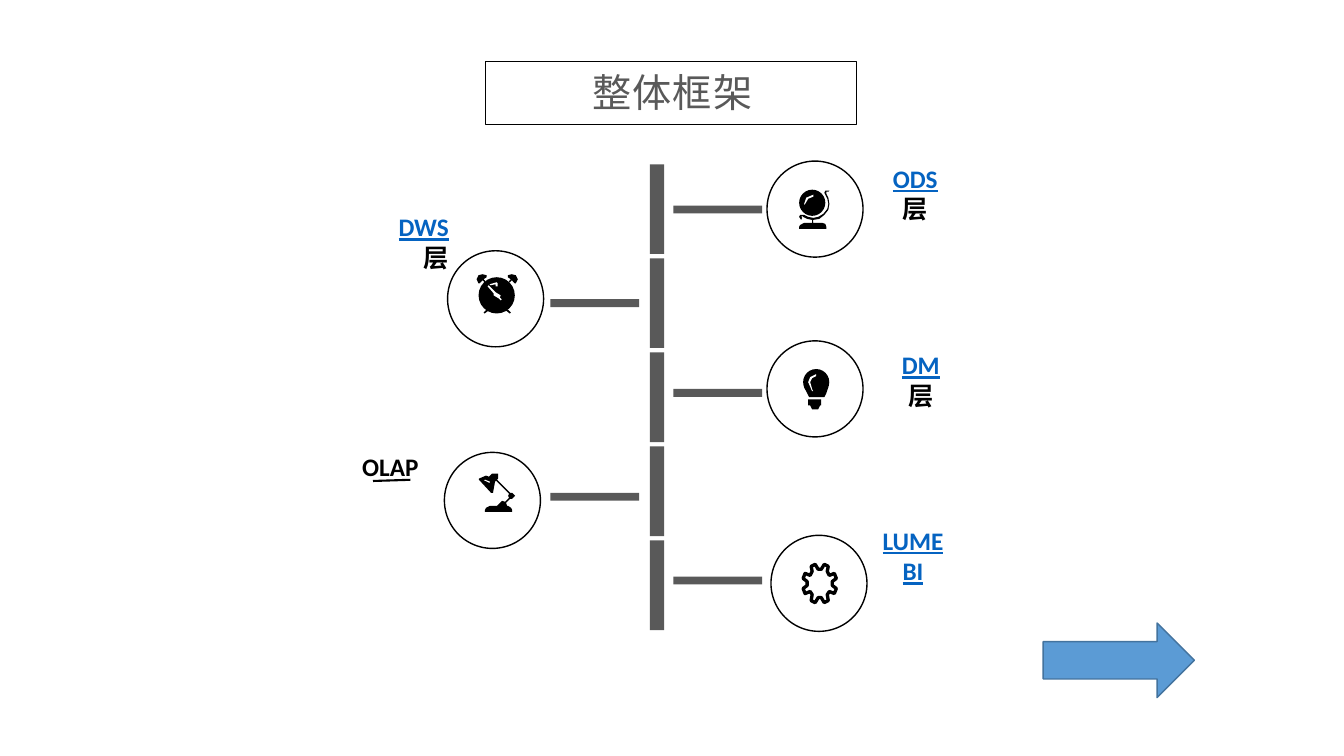
from lxml.etree import SubElement
from pptx import Presentation
from pptx.dml.color import RGBColor as RGB
from pptx.enum.shapes import MSO_CONNECTOR as Link, MSO_SHAPE as Kind
from pptx.enum.text import PP_ALIGN as Align
from pptx.oxml.ns import qn
from pptx.util import Cm, Pt

BLACK = RGB(0, 0, 0)
WHITE = RGB(255, 255, 255)
GREY = RGB(0x59, 0x59, 0x59)
LINK = RGB(0x05, 0x63, 0xC1)
BLUE = RGB(0x5B, 0x9B, 0xD5)
NAVY = RGB(0x43, 0x73, 0x9E)
LATIN, HAN = "Calibri", "Noto Sans CJK SC"
UNIT = 0.0254  # icon grid step in cm

# left, top of the ring; left, top of its bar
STOPS = [
    (19.33, 4.06, 16.97, 5.18),
    (11.28, 6.32, 13.87, 7.54),
    (19.33, 8.59, 16.97, 9.8),
    (11.2, 11.4, 13.87, 12.42),
    (19.43, 13.49, 16.97, 14.53),
]
# left, top, width, alignment, linked word, plain word
LABELS = [
    (9.25, 5.21, 2.44, Align.RIGHT, "DWS", "层"),
    (8.84, 11.25, 1.96, Align.RIGHT, "", "OLAP"),
    (21.92, 3.99, 2.29, Align.CENTER, "ODS", "层"),
    (22.15, 8.69, 2.11, Align.CENTER, "DM", "层"),
    (21.89, 13.11, 2.24, Align.CENTER, "LUMEBI", ""),
]


def paint(shape, fill, line=None, width=1):
    shape.shadow.inherit = False
    if fill is None:
        shape.fill.background()
    else:
        shape.fill.solid()
        shape.fill.fore_color.rgb = fill
    if line is None:
        shape.line.fill.background()
    else:
        shape.line.color.rgb = line
        shape.line.width = Pt(width)


def block(shapes, kind, box, fill, line=None, width=1):
    shape = shapes.add_shape(kind, *map(Cm, box))
    paint(shape, fill, line, width)
    return shape


def outline(shapes, left, top, points, fill, line=None, width=1):
    """Closed polygon whose points count in icon grid steps from left, top."""
    pen = shapes.build_freeform(*points[0], scale=Cm(UNIT))
    pen.add_line_segments(points[1:], close=True)
    paint(pen.convert_to_shape(Cm(left), Cm(top)), fill, line, width)


def mirror(points, width):
    return [(width - x, y) for x, y in reversed(points)]


def icon(shapes, left, top, disc=None, dark=(), light=()):
    """Black disc (x, y, size) and polygons, with white highlights on top."""
    if disc:
        x, y, size = (UNIT * n for n in disc)
        block(shapes, Kind.OVAL, (left + x, top + y, size, size), BLACK)
    for points in dark:
        outline(shapes, left, top, points, BLACK)
    for points in light:
        outline(shapes, left, top, points, WHITE)


def globe(shapes):
    stand = [(23, 33), (14, 33), (14, 30), (20, 29), (25, 25), (29, 20), (30, 14),
             (29, 8), (27, 4), (27, 2), (29, 2), (30, 1), (26, 1), (25, 3), (26, 5),
             (28, 9), (29, 14), (28, 19), (24, 24), (19, 27), (14, 28), (9, 27),
             (5, 25), (1, 25), (0, 27), (2, 30), (3, 28), (2, 27), (3, 26), (4, 27),
             (8, 29), (13, 30), (13, 33), (5, 33), (1, 35), (0, 37), (0, 39),
             (27, 39), (27, 37), (26, 34)]
    shine = [(14, 5), (14, 7), (9, 9), (6, 14), (5, 15), (5, 14), (7, 8)]
    icon(shapes, 20.14, 4.78, (0, 0, 26), [stand], [shine])


def clock(shapes):
    bell = [(0, 5), (2, 1), (6, 0), (10, 1), (10, 3), (7, 5), (9, 7), (8, 8),
            (6, 6), (3, 9), (2, 9)]
    foot = [(10, 35), (7, 38), (8, 39), (12, 36)]
    hand = [(11, 12), (12, 11), (19, 18), (24, 21), (23, 23), (25, 25), (24, 26),
            (22, 24), (17, 21), (17, 19)]
    shine = [(13, 10), (20, 8), (21, 9), (21, 12), (19, 12), (19, 10), (14, 11)]
    dark = [bell, mirror(bell, 41), foot, mirror(foot, 41)]
    icon(shapes, 12.01, 6.91, (2, 3, 36), dark, [hand, shine])


def bulb(shapes):
    neck = [(1, 18), (4, 24), (6, 28), (21, 28), (23, 24), (25, 18)]
    base = [(5, 30), (18, 30), (18, 36), (17, 36), (15, 40), (9, 40), (7, 36), (5, 36)]
    shine = [(13, 5), (13, 7), (9, 9), (7, 13), (9, 20), (10, 22), (9, 22), (8, 20),
             (5, 13), (7, 8)]
    icon(shapes, 20.24, 9.3, (0, 0, 26), [neck], [shine])
    icon(shapes, 20.24, 9.3, dark=[base])


def lamp(shapes):
    body = [(33, 26), (36, 23), (33, 20), (31, 20), (18, 7), (19, 6), (19, 1), (13, 1),
            (10, 4), (7, 3), (0, 6), (0, 7), (12, 20), (14, 20), (16, 9), (17, 8),
            (30, 21), (29, 23), (30, 25), (26, 29), (23, 28), (18, 33), (11, 33),
            (7, 35), (6, 37), (6, 39), (33, 39), (33, 37), (32, 35), (29, 33),
            (28, 33), (27, 30), (31, 26)]
    shine = [(11, 10), (10, 10), (6, 8), (5, 8), (6, 7), (11, 9)]
    icon(shapes, 12.07, 11.91, dark=[body], light=[shine])


def gear(shapes):
    half = [(18, 5), (21, 0), (25, 2), (24, 7), (26, 11), (31, 9), (33, 14), (29, 17),
            (29, 21), (33, 24), (31, 29), (26, 27), (24, 30), (25, 36), (21, 38),
            (18, 33)]
    outline(shapes, 20.24, 14.22, half + mirror(half, 33), WHITE, BLACK, 2.38)


def text(shapes, box, align, wrap=True, side=0.25):
    frame = shapes.add_textbox(*map(Cm, box)).text_frame
    frame.word_wrap = wrap
    frame.margin_left = frame.margin_right = Cm(side)
    para = frame.paragraphs[0]
    para.alignment = align
    return para


def write(para, words, size, face, color, bold=False, under=False):
    run = para.add_run()
    run.text = words
    font = run.font
    font.size, font.name, font.bold = Pt(size), face, bold
    font.underline = under
    font.color.rgb = color
    props = run._r.get_or_add_rPr()
    SubElement(props, qn("a:ea")).set("typeface", HAN)
    return props


def title(shapes):
    para = text(shapes, (12.22, 1.73, 9.45, 1.35), Align.CENTER)
    para.line_spacing = 0.9
    write(para, "整体框架", 28, HAN, GREY).set("spc", "100")
    box = (12.22, 1.55, 9.35, 1.57)
    block(shapes, Kind.ROUNDED_RECTANGLE, box, None, BLACK, 0.25).adjustments[0] = 0


def label(shapes, left, top, width, align, link, plain):
    both = bool(link and plain)  # the plain word wraps below the linked one
    para = text(shapes, (left, top, width, 1.02), align, both, 0.38 if both else 0.25)
    if link:
        write(para, link, 18, LATIN, LINK, True, True)
    if plain:
        write(para, plain, 18, LATIN, BLACK, True)


def rule(shapes, ends):
    line = shapes.add_connector(Link.STRAIGHT, *map(Cm, ends))
    line.line.color.rgb = BLACK
    line.line.width = Pt(1.5)
    SubElement(line._element.spPr, qn("a:effectLst"))


def main():
    deck = Presentation()
    deck.slide_width, deck.slide_height = Cm(33.87), Cm(19.05)
    shapes = deck.slides.add_slide(deck.slide_layouts[6]).shapes
    title(shapes)
    for row, (left, top, bar, level) in enumerate(STOPS):
        block(shapes, Kind.RECTANGLE, (16.38, 4.14 + 2.37 * row, 0.36, 2.26), GREY)
        block(shapes, Kind.RECTANGLE, (bar, level, 2.24, 0.2), GREY)
        block(shapes, Kind.OVAL, (left, top, 2.42, 2.42), WHITE, BLACK)
    for draw in (globe, clock, bulb, lamp, gear):
        draw(shapes)
    for item in LABELS:
        label(shapes, *item)
    rule(shapes, (9.4, 12.12, 10.34, 12.09))
    block(shapes, Kind.RIGHT_ARROW, (26.29, 15.7, 3.81, 1.88), BLUE, NAVY)
    deck.save("out.pptx")


if __name__ == "__main__":
    main()
